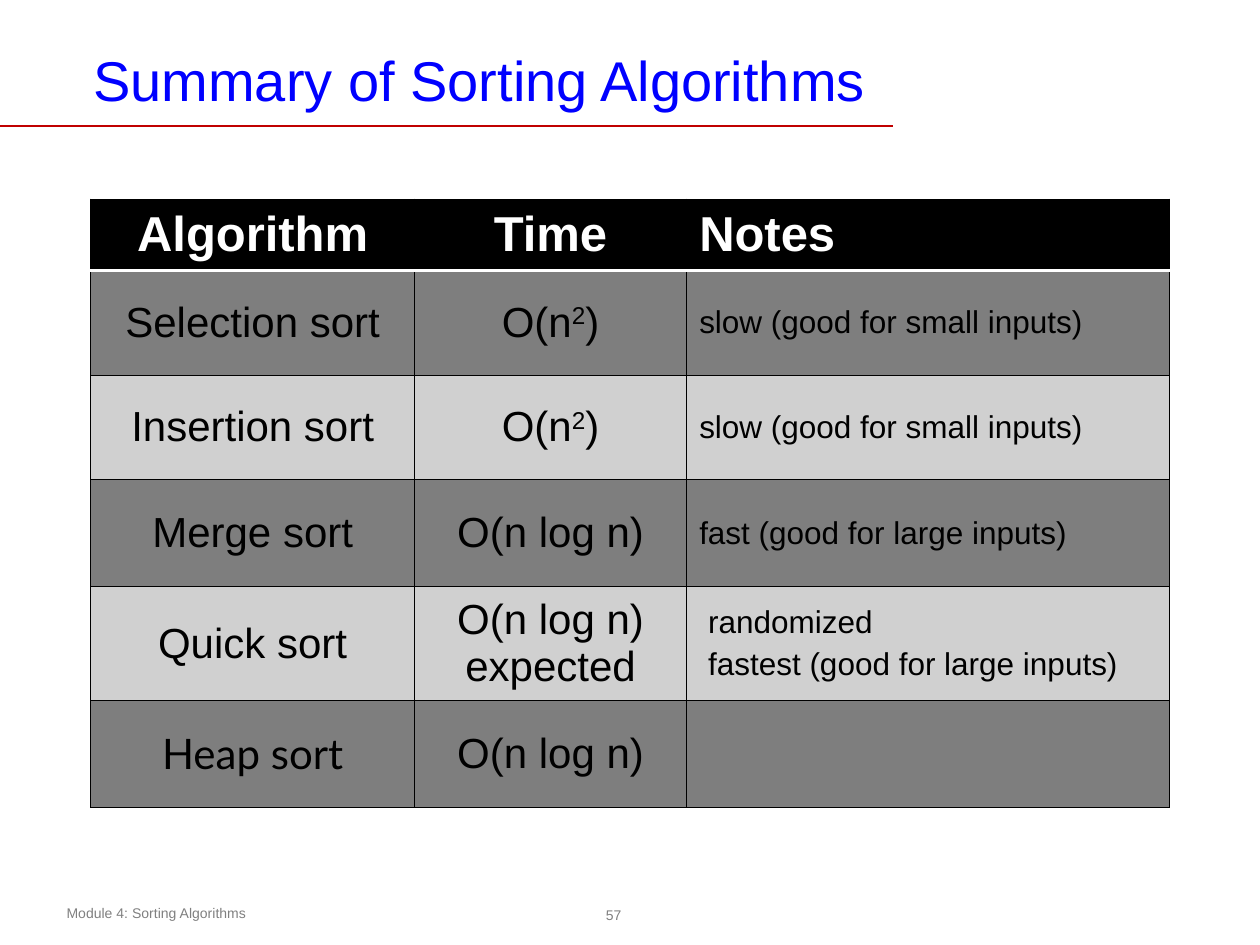
from lxml.etree import SubElement
from pptx import Presentation
from pptx.dml.color import RGBColor
from pptx.enum.shapes import MSO_CONNECTOR
from pptx.enum.text import MSO_ANCHOR, PP_ALIGN
from pptx.oxml import parse_xml
from pptx.oxml.ns import nsdecls, qn
from pptx.util import Inches, Pt

BLACK = RGBColor(0, 0, 0)
WHITE = RGBColor(255, 255, 255)
BLUE = RGBColor(0, 0, 255)
RED = RGBColor(0xC0, 0, 0)
GREY = RGBColor(0x80, 0x80, 0x80)
DARK = RGBColor(0x7E, 0x7E, 0x7E)
LIGHT = RGBColor(0xD0, 0xD0, 0xD0)

COLS = [2.57, 2.16, 3.83]
ROWS = [0.54, 0.83, 0.83, 0.85, 0.85, 0.85]
CELLS = [
    ["Algorithm", "Time", "Notes"],
    ["Selection sort", "O(n^2^)", "slow (good for small inputs)"],
    ["Insertion sort", "O(n^2^)", "slow (good for small inputs)"],
    ["Merge sort", "O(n log n)", "fast (good for large inputs)"],
    ["Quick sort", "O(n log n)\vexpected",
     "randomized\nfastest (good for large inputs)"],
    ["Heap sort", "O(n log n)", ""],
]


def style(para, size, color, bold=False, name="Arial"):
    font = para.font
    font.size, font.bold, font.name = Pt(size), bold, name
    font.color.rgb = color


def label(slide, box, text, size, color, inset, align=PP_ALIGN.LEFT,
          anchor=MSO_ANCHOR.TOP):
    frame = slide.shapes.add_textbox(*map(Inches, box)).text_frame
    frame.word_wrap = True
    frame.vertical_anchor = anchor
    frame.margin_left = frame.margin_right = Inches(inset[0])
    frame.margin_top = frame.margin_bottom = Inches(inset[1])
    para = frame.paragraphs[0]
    para.text, para.alignment = text, align
    style(para, size, color)


def header(slide, box):
    """Title with a red rule from the slide's left edge."""
    left, top, width, height = box
    label(slide, box, "Summary of Sorting Algorithms", 32, BLUE, (0.07, 0.03))
    rule = slide.shapes.add_connector(
        MSO_CONNECTOR.STRAIGHT, 0, Inches(1), Inches(7.09), Inches(1))
    rule.line.color.rgb, rule.line.width = RED, Pt(1)
    SubElement(rule._element.spPr, qn("a:effectLst"))


def footer(slide, box):
    """Module name at the left, page number near the middle."""
    left, top, width, height = box
    label(slide, (left, top, width * 0.4, height),
          "Module 4: Sorting Algorithms", 8, GREY, (0.1, 0.05))
    label(slide, (left + width * 0.47, top, 0.29, height), "57", 8, GREY,
          (0.02, 0.04), PP_ALIGN.CENTER, MSO_ANCHOR.MIDDLE)


def border(cell, sides):
    props = cell._tc.get_or_add_tcPr()
    for spot, (side, (color, width)) in enumerate(sides.items()):
        props.insert(spot, parse_xml(
            f'<a:ln{side} {nsdecls("a")} w="{Pt(width)}"><a:solidFill>'
            f'<a:srgbClr val="{color}"/></a:solidFill></a:ln{side}>'))


def write(cell, text, size, color, bold, name, align):
    """Fill a cell; text between carets is raised."""
    frame = cell.text_frame
    cell.vertical_anchor = MSO_ANCHOR.MIDDLE
    lines = text.split("\n")
    for spot, line in enumerate(lines):
        para = frame.add_paragraph() if spot else frame.paragraphs[0]
        para.alignment = align
        if spot:
            para.space_before = Pt(size * 0.2)
        if len(lines) > 1:
            para._p.get_or_add_pPr().set("marL", str(Inches(0.07)))
        if "^" in line:
            for turn, part in enumerate(line.split("^")):
                run = para.add_run()
                run.text = part
                if turn % 2:
                    run.font._element.set("baseline", "30000")
        else:
            para.text = line
        style(para, size, color, bold, name)


def grid(slide, box):
    """Comparison table with a black head and banded rows."""
    table = slide.shapes.add_table(
        len(ROWS), len(COLS), *map(Inches, box)).table
    table.horz_banding = False
    for col, width in zip(table.columns, COLS):
        col.width = Inches(width)
    thin, thick = (BLACK, 0.75), (WHITE, 2)
    for r, texts in enumerate(CELLS):
        table.rows[r].height = Inches(ROWS[r])
        head = r == 0
        for c, text in enumerate(texts):
            cell = table.cell(r, c)
            size = 28 if head else 18 if c == 2 else 24
            write(cell, text, size, WHITE if head else BLACK, head,
                  "Lato" if text == "Heap sort" else "Arial",
                  PP_ALIGN.LEFT if c == 2 else PP_ALIGN.CENTER)
            cell.fill.solid()
            cell.fill.fore_color.rgb = (
                BLACK if head else DARK if r % 2 else LIGHT)
            border(cell, {"L": thin, "R": thin,
                          "T": thick if r == 1 else thin,
                          "B": thick if head else thin})


def main():
    deck = Presentation()
    deck.slide_width, deck.slide_height = Inches(10), Inches(7.5)
    slide = deck.slides.add_slide(deck.slide_layouts[6])
    footer(slide, (0.43, 7.13, 9.14, 0.26))
    header(slide, (0.67, 0.33, 8.83, 1.25))
    grid(slide, (0.72, 1.58, sum(COLS), sum(ROWS)))
    deck.save("out.pptx")


if __name__ == "__main__":
    main()
